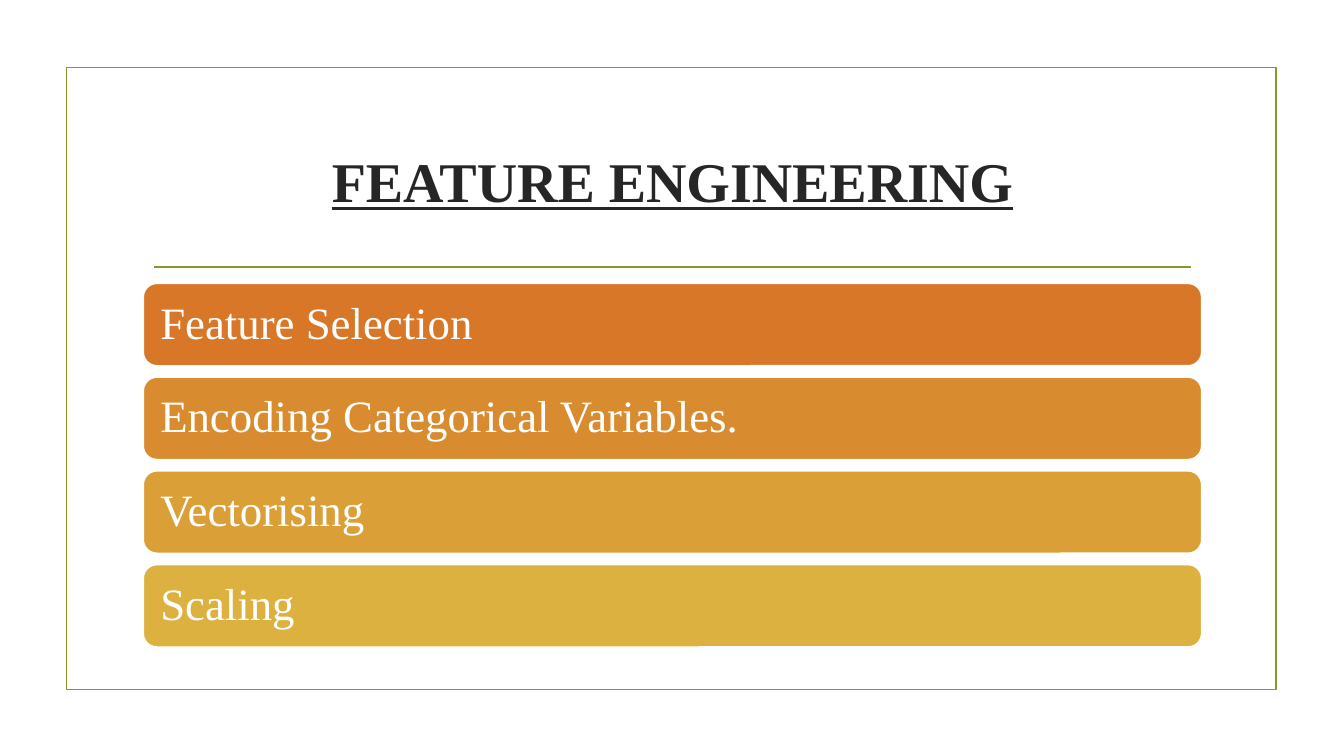
from pptx import Presentation
from pptx.dml.color import RGBColor
from pptx.enum.shapes import MSO_CONNECTOR, MSO_SHAPE
from pptx.enum.text import MSO_ANCHOR, PP_ALIGN
from pptx.oxml.ns import qn
from pptx.util import Inches, Pt
from lxml.etree import SubElement

GREEN = RGBColor(0x83, 0x99, 0x2A)
DARK = RGBColor(0x26, 0x26, 0x26)
WHITE = RGBColor(0xFF, 0xFF, 0xFF)
STEPS = [
    ("Feature Selection", RGBColor(0xD7, 0x77, 0x27)),
    ("Encoding Categorical Variables.", RGBColor(0xD9, 0x8C, 0x2F)),
    ("Vectorising", RGBColor(0xDA, 0x9F, 0x37)),
    ("Scaling", RGBColor(0xDC, 0xB1, 0x3F)),
]
BAR_TOP, BAR_HEIGHT, BAR_GAP = 2.81, 0.82, 0.11


class SlideBuilder:
    """Draws framed, titled bars on one slide in a shared style."""

    font = "Times New Roman"
    line_width = Pt(1.25)

    def __init__(self, slide):
        self.slide = slide

    def outline(self, line, color):
        line.color.rgb = color
        line.width = self.line_width

    def set_text(self, tf, text, size, color, align):
        tf.word_wrap = True
        tf.vertical_anchor = MSO_ANCHOR.MIDDLE
        p = tf.paragraphs[0]
        p.text = text
        p.alignment = align
        p.font.name = self.font
        p.font.size = Pt(size)
        p.font.color.rgb = color
        return p

    def shape(self, kind, x, y, w, h, line):
        sp = self.slide.shapes.add_shape(kind, Inches(x), Inches(y), Inches(w), Inches(h))
        sp.shadow.inherit = False
        self.outline(sp.line, line)
        return sp

    def frame(self, x, y, w, h):
        self.shape(MSO_SHAPE.RECTANGLE, x, y, w, h, GREEN).fill.background()

    def rule(self, x1, x2, y):
        line = self.slide.shapes.add_connector(
            MSO_CONNECTOR.STRAIGHT, Inches(x1), Inches(y), Inches(x2), Inches(y))
        self.outline(line.line, GREEN)
        SubElement(line._element.spPr, qn("a:effectLst"))

    def title(self, text, x, y, w, h):
        box = self.slide.shapes.add_textbox(Inches(x), Inches(y), Inches(w), Inches(h))
        p = self.set_text(box.text_frame, text, 40, DARK, PP_ALIGN.CENTER)
        p.font.bold = True
        p.font.underline = True

    def bar(self, text, fill, x, y, w, h):
        sp = self.shape(MSO_SHAPE.ROUNDED_RECTANGLE, x, y, w, h, WHITE)
        sp.fill.solid()
        sp.fill.fore_color.rgb = fill
        tf = sp.text_frame
        tf.margin_left = tf.margin_right = tf.margin_top = tf.margin_bottom = Inches(0.13)
        self.set_text(tf, text, 32, WHITE, PP_ALIGN.LEFT).line_spacing = 0.9


def main():
    prs = Presentation()
    prs.slide_width, prs.slide_height = Inches(13.33), Inches(7.5)
    s = SlideBuilder(prs.slides.add_slide(prs.slide_layouts[6]))
    s.frame(0.66, 0.67, 12, 6.17)
    s.rule(1.53, 11.81, 2.65)
    s.title("FEATURE ENGINEERING", 1.42, 1.07, 10.5, 1.43)
    for i, (text, fill) in enumerate(STEPS):
        s.bar(text, fill, 1.42, BAR_TOP + i * (BAR_HEIGHT + BAR_GAP), 10.5, BAR_HEIGHT)
    prs.save("out.pptx")


if __name__ == "__main__":
    main()
